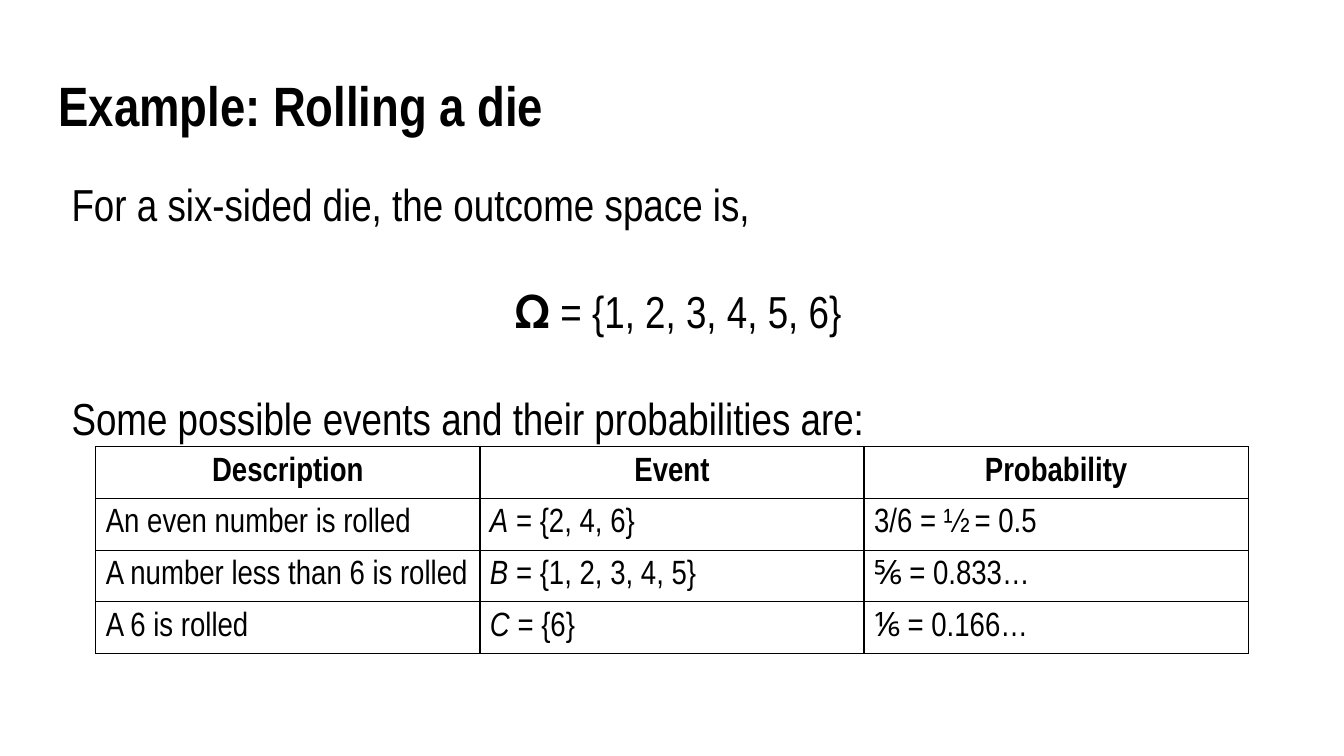
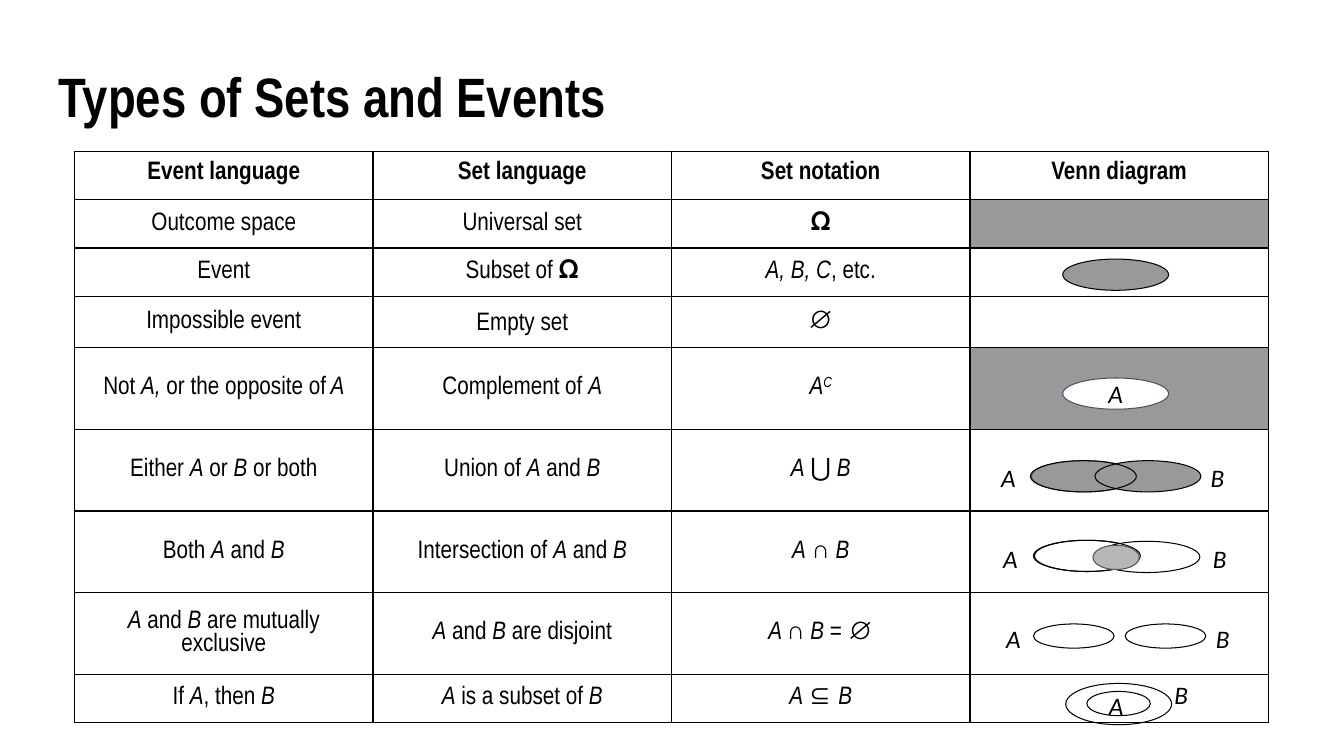
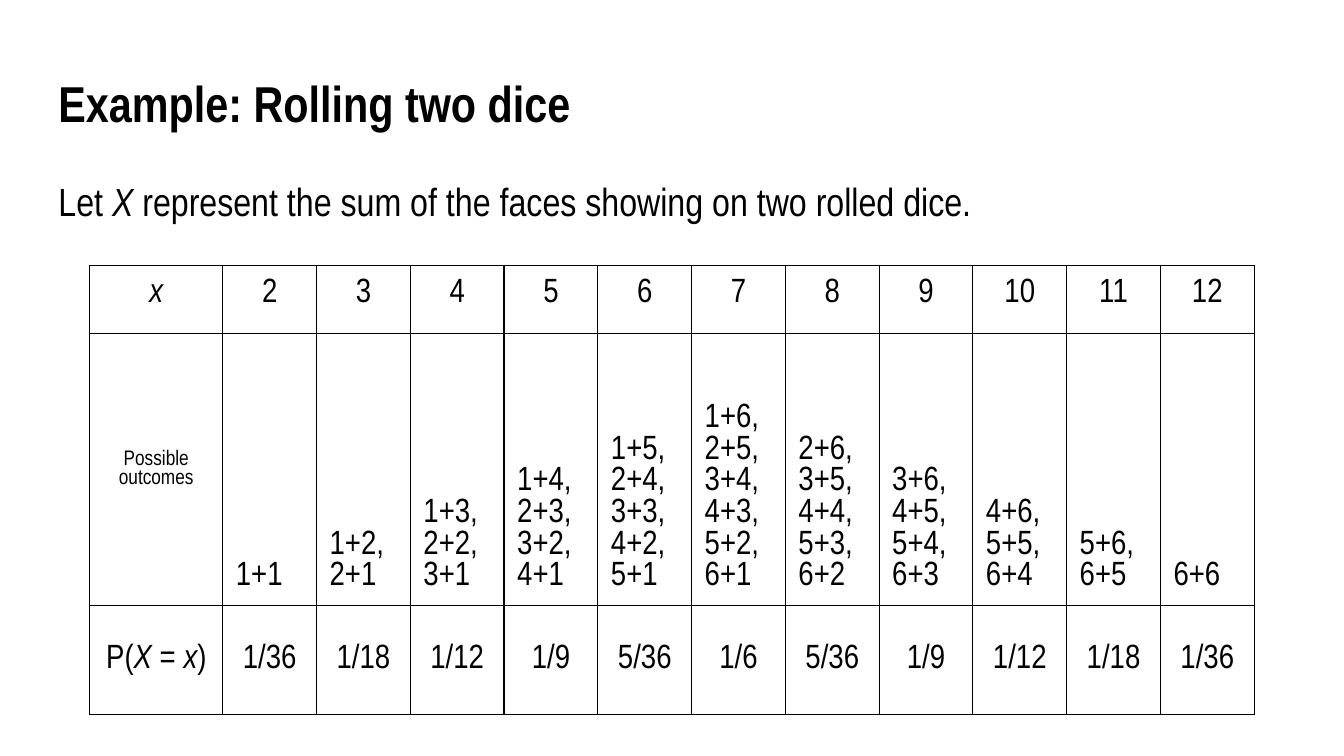
import math

import pptx
import pptx.dml.color
import pptx.enum.shapes
import pptx.enum.text
import pptx.oxml
import pptx.oxml.ns
import pptx.util

Inches, Pt = pptx.util.Inches, pptx.util.Pt
RGB = pptx.dml.color.RGBColor.from_string
ALIGN, ANCHOR = pptx.enum.text.PP_ALIGN, pptx.enum.text.MSO_ANCHOR
MARGINS = ("margin_left", "margin_top", "margin_right", "margin_bottom")
COLORS = {"ink": "000000", "gray": "999999", "overlap": "B7B7B7",
          "white": "FFFFFF", "slate": "44546A"}
FONT, LETTER_FONT = "Arial Narrow", "Calibri"
LEFT, WIDTH = 0.45, 12.42


def write(p, text, size, font=FONT, bold=False, **formats):
    """Fill a paragraph; parts between asterisks are italic."""
    for name, value in formats.items():
        setattr(p, name, value)
    for i, part in enumerate(text.split("*")):
        if part:
            r = p.add_run()
            r.text = part
            r.font.color.rgb = RGB(COLORS["ink"])
            look = {"name": font, "size": Pt(size), "bold": bold, "italic": i % 2 == 1}
            for name, value in look.items():
                setattr(r.font, name, value)


def add_grid(s, left, top, widths, heights, inset, size, rows, aligns, anchors, bold_rows=0):
    """Add a black-ruled table; aligns and anchors give one value per row and column."""
    table = s.shapes.add_table(len(heights), len(widths), Inches(left), Inches(top),
                               Inches(sum(widths)), Inches(sum(heights))).table
    table.first_row = table.horz_banding = False
    for column, width in zip(table.columns, widths):
        column.width = Inches(width)
    for i, (row, height, texts) in enumerate(zip(table.rows, heights, rows)):
        row.height = Inches(height)
        for j, (cell, text) in enumerate(zip(row.cells, texts)):
            if text:
                for margin in MARGINS:
                    setattr(cell, margin, Inches(inset))
                cell.vertical_anchor = anchors(i, j)
                write(cell.text_frame.paragraphs[0], text, size, bold=i < bold_rows,
                      alignment=aligns(i, j))
            tcPr = cell._tc.get_or_add_tcPr()
            for side in ("lnL", "lnR", "lnT", "lnB"):
                tcPr.append(pptx.oxml.parse_xml(
                    f'<a:{side} {pptx.oxml.ns.nsdecls("a")} w="12700"><a:solidFill>'
                    f'<a:srgbClr val="{COLORS["ink"]}"/></a:solidFill></a:{side}>'))
            cell.fill.background()
    return table


prs = pptx.Presentation()
prs.slide_width, prs.slide_height = Inches(13.33), Inches(7.5)

# Titles and opening text
INTRO_GAP = 42
slides = []
for title, top, title_size, body_size, body_height, paragraphs in [
    ("Example: Rolling a die", 0.65, 39.6, 32, 5.56, [
        ("For a six-sided die, the outcome space is,", ALIGN.LEFT),
        ("𝛀 = {1, 2, 3, 4, 5, 6}", ALIGN.CENTER),
        ("Some possible events and their probabilities are:", ALIGN.LEFT)]),
    ("Types of Sets and Events", 0.56, 39.6, 0, 0, []),
    ("Example: Rolling two dice", 0.65, 36, 28, 4.98, [
        ("Let *X* represent the sum of the faces showing on two rolled dice.", ALIGN.LEFT)]),
]:
    s = prs.slides.add_slide(prs.slide_layouts[5])
    slides.append(s)
    heading = s.shapes.title
    heading.left, heading.top = Inches(LEFT), Inches(top)
    heading.width, heading.height = Inches(WIDTH), Inches(0.84)
    frames = [heading.text_frame]
    write(heading.text_frame.paragraphs[0], title, title_size, bold=True,
          alignment=ALIGN.LEFT, line_spacing=0.9, space_before=Pt(0.24 * title_size))
    if paragraphs:
        tf = s.shapes.add_textbox(Inches(LEFT), Inches(1.68), Inches(WIDTH),
                                  Inches(body_height)).text_frame
        frames.append(tf)
        for i, (text, align) in enumerate(paragraphs):
            p = tf.add_paragraph() if i else tf.paragraphs[0]
            write(p, text, body_size, alignment=align, line_spacing=0.9,
                  space_before=Pt(INTRO_GAP if i else 0.24 * body_size))
    for tf in frames:
        tf.word_wrap = True
        tf.auto_size = pptx.enum.text.MSO_AUTO_SIZE.NONE
        tf.vertical_anchor = ANCHOR.TOP
        for margin in MARGINS:
            setattr(tf, margin, Inches(0.13))
die, sets, dice = slides
# The die text is indented by a wider left inset
die.shapes[-1].text_frame.margin_left = Inches(0.26)

# Events of one die
add_grid(die, 0.95, 4.43, [3.81] * 3, [0.51] * 4, 0.1, 24, [
    ("Description", "Event", "Probability"),
    ("An even number is rolled", "*A* = {2, 4, 6}", "3/6 = ½ = 0.5"),
    ("A number less than 6 is rolled", "*B* = {1, 2, 3, 4, 5}", "⅚ = 0.833…"),
    ("A 6 is rolled", "*C* = {6}", "⅙ = 0.166…"),
], aligns=lambda i, j: ALIGN.LEFT if i else ALIGN.CENTER,
    anchors=lambda i, j: ANCHOR.MIDDLE, bold_rows=1)

# Sets and events
table = add_grid(sets, 0.74, 1.5, [2.96] * 4, [0.48] * 3 + [0.51] + [0.81] * 4 + [0.48], 0.1, 18, [
    ("Event language", "Set language", "Set notation", "Venn diagram"),
    ("Outcome space", "Universal set", "𝛀", ""),
    ("Event", "Subset of 𝛀", "*A, B, C*, etc.", ""),
    ("Impossible event", "Empty set", "∅", ""),
    ("Not *A,* or the opposite of* A*", "Complement of *A*", "*A**C*", ""),
    ("Either *A* or *B* or both", "Union of *A* and *B*", "*A* ⋃ *B*", ""),
    ("Both *A* and *B*", "Intersection of *A* and *B*", "*A* ∩ *B*", ""),
    ("*A* and *B* are mutually exclusive", "*A* and *B* are disjoint", "*A *∩ *B* = ∅", ""),
    ("If *A*, then *B*", "*A* is a subset of *B*", "*A *⊆* B*", ""),
], aligns=lambda i, j: ALIGN.CENTER,
    anchors=lambda i, j: ANCHOR.MIDDLE if i else ANCHOR.TOP, bold_rows=1)
for row in (1, 4):
    fill = table.cell(row, 3).fill
    fill.solid()
    fill.fore_color.rgb = RGB(COLORS["gray"])
empty_set = table.cell(3, 1).text_frame.paragraphs[0]
empty_set.line_spacing, empty_set.space_after = 1.15, Pt(10)
exponent = table.cell(4, 2).text_frame.paragraphs[0].runs[-1]
exponent.font._element.set("baseline", "30000")

# Venn diagrams: left, top, width, height, fill, line, letter
for left, top, width, height, fill, line, letter in [
    (10.54, 2.57, 1.05, 0.31, "gray", "ink", ""),
    (10.54, 3.75, 1.05, 0.31, "white", "slate", "*A*"),
    (10.23, 4.57, 1.05, 0.31, "gray", "slate", ""),
    (10.86, 4.57, 1.05, 0.31, "gray", "ink", ""),
    (10.22, 4.57, 1.05, 0.31, None, "ink", ""),
    (10.25, 5.36, 1.05, 0.31, "white", "ink", ""),
    (10.85, 5.37, 1.05, 0.31, "white", "ink", ""),
    (10.26, 5.36, 1.05, 0.31, None, "ink", ""),
    (10.84, 5.41, 0.46, 0.24, "overlap", "slate", ""),
    (10.25, 6.19, 0.8, 0.24, None, "ink", ""),
    (11.16, 6.19, 0.8, 0.24, None, "ink", ""),
    (10.57, 6.78, 1.05, 0.41, None, "ink", ""),
    (10.78, 6.86, 0.63, 0.24, None, "ink", ""),
]:
    oval = sets.shapes.add_shape(pptx.enum.shapes.MSO_SHAPE.OVAL, Inches(left), Inches(top),
                                 Inches(width), Inches(height))
    oval.shadow.inherit = False
    oval.line.color.rgb = RGB(COLORS[line])
    oval.line.width = Pt(0.75)
    if fill:
        oval.fill.solid()
        oval.fill.fore_color.rgb = RGB(COLORS[fill])
    else:
        oval.fill.background()
    if letter:
        tf = oval.text_frame
        tf.vertical_anchor = ANCHOR.MIDDLE
        for margin in MARGINS:
            setattr(tf, margin, Inches(0.1))
        write(tf.paragraphs[0], letter, 18, LETTER_FONT, alignment=ALIGN.CENTER)

for letter, left, top in [
    ("*A*", 9.83, 4.49), ("*B*", 11.91, 4.49),
    ("*A*", 9.85, 5.29), ("*B*", 11.93, 5.29),
    ("*A*", 9.88, 6.08), ("*B*", 11.96, 6.08),
    ("*B*", 11.55, 6.64), ("*A*", 10.9, 6.75),
]:
    tf = sets.shapes.add_textbox(Inches(left), Inches(top), Inches(0.41), Inches(0.47)).text_frame
    tf.word_wrap = True
    for margin in MARGINS:
        setattr(tf, margin, Inches(0.1))
    write(tf.paragraphs[0], letter, 18, LETTER_FONT)

# Distribution of the sum of two dice
totals, outcomes, chances = ["*x*"], ["Possible outcomes"], ["P(*X* = *x*)"]
for total in range(2, 13):
    rolls = [f"{a}+{total - a}" for a in range(1, 7) if 1 <= total - a <= 6]
    divisor = math.gcd(len(rolls), 36)
    totals.append(str(total))
    outcomes.append(", ".join(rolls))
    chances.append(f"{len(rolls) // divisor}/{36 // divisor}")
row_anchors = (ANCHOR.TOP, ANCHOR.BOTTOM, ANCHOR.MIDDLE)
table = add_grid(dice, 0.89, 2.63, [1.32] + [0.93] * 11, [0.68, 2.7, 1.08], 0.13, 24,
                 [totals, outcomes, chances],
                 aligns=lambda i, j: ALIGN.LEFT if i == 1 and j else ALIGN.CENTER,
                 anchors=lambda i, j: row_anchors[i])
label = table.cell(1, 0)
label.vertical_anchor = ANCHOR.MIDDLE
label.text_frame.paragraphs[0].runs[0].font.size = Pt(15)

prs.save("out.pptx")
